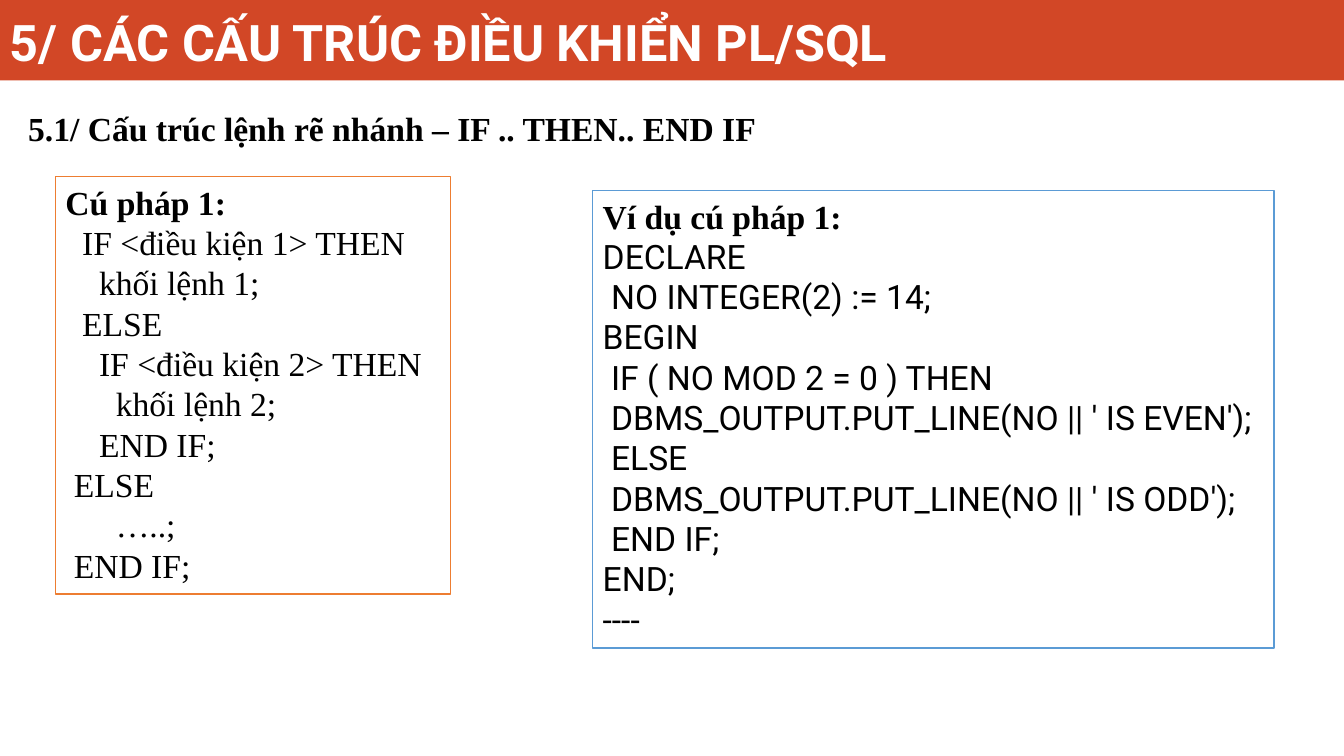
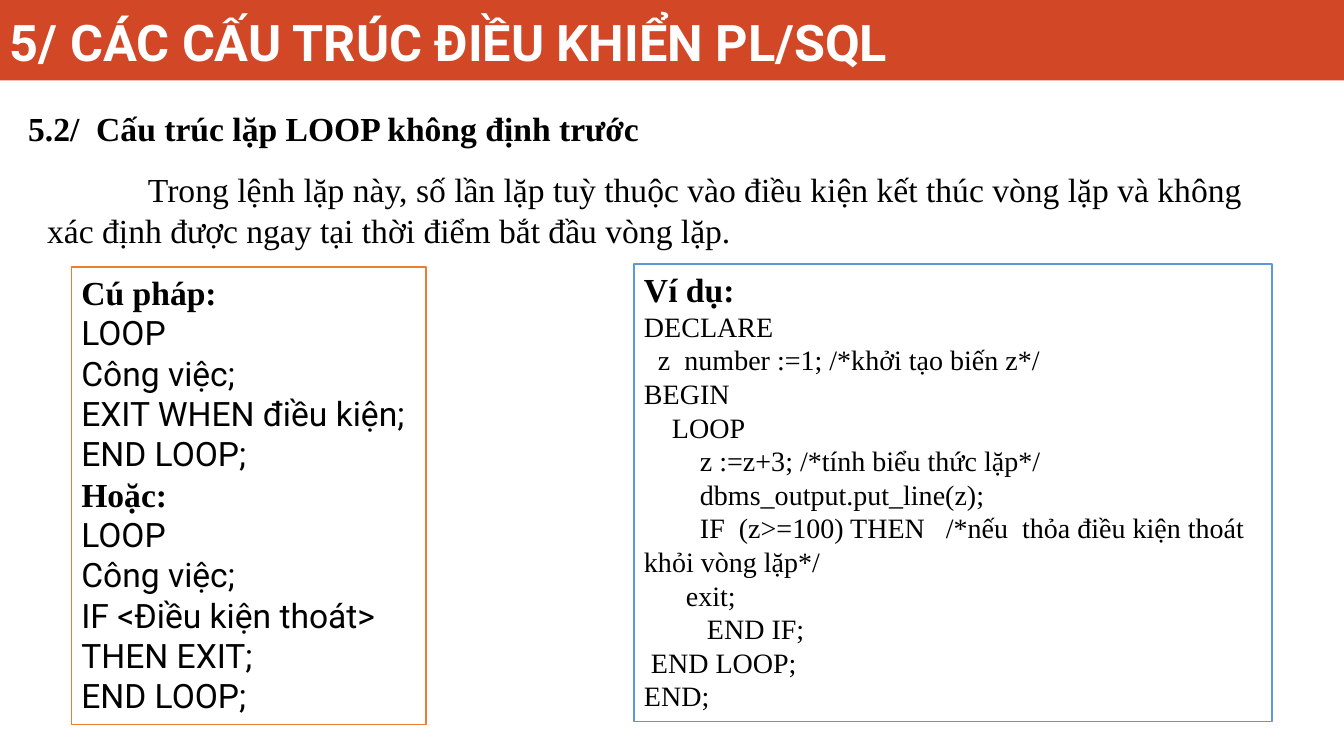
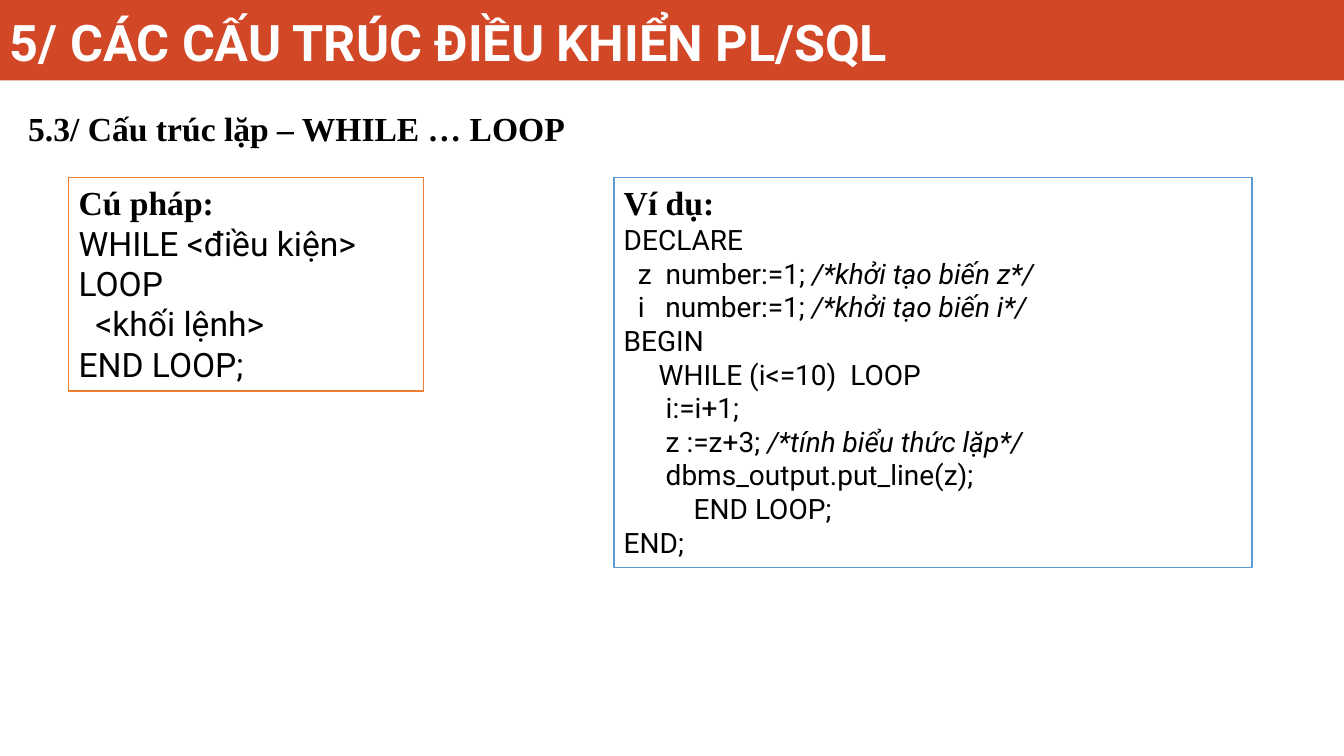
from pptx import Presentation
from pptx.dml.color import RGBColor
from pptx.enum.shapes import MSO_SHAPE as SHAPE
from pptx.enum.text import MSO_ANCHOR as ANCHOR, MSO_AUTO_SIZE as FIT, PP_ALIGN as ALIGN
from pptx.util import Cm, Pt

SANS, SERIF = "Roboto", "Times New Roman"
BAND, ORANGE, BLUE = "D24726", "ED7D31", "5B9BD5"
BLACK, WHITE = "000000", "FFFFFF"
TITLE = dict(name=SANS, size=Pt(36), bold=True)
HEAD = dict(name=SERIF, size=Pt(24), bold=True)
BODY = dict(name=SERIF, size=Pt(24), bold=False)
CODE = dict(name=SANS, size=Pt(24), bold=False)
SMALL_SERIF = dict(BODY, size=Pt(20))
SMALL_SANS = dict(CODE, size=Pt(20))


def rgb(value):
    """Turn a hex string into a colour."""
    return RGBColor.from_string(value)


def add_run(p, text, fmt, color=BLACK):
    """Add one formatted run to a paragraph."""
    r = p.add_run()
    r.text = text
    r.font.color.rgb = rgb(color)
    for key, value in fmt.items():
        setattr(r.font, key, value)


def add_rect(slide, box, fill, line=None):
    """Draw a flat rectangle in the box (cm)."""
    sp = slide.shapes.add_shape(SHAPE.RECTANGLE, *map(Cm, box))
    sp.shadow.inherit = False
    sp.fill.solid()
    sp.fill.fore_color.rgb = rgb(fill)
    if line:
        sp.line.color.rgb = rgb(line)
        sp.line.width = Pt(1)
    else:
        sp.line.fill.background()
    return sp


def add_text(slide, box, text, fmt, color=BLACK, wrap=True, fit=FIT.SHAPE_TO_FIT_TEXT,
             anchor=ANCHOR.TOP, first_indent=0):
    """Place a one-paragraph text box."""
    tf = slide.shapes.add_textbox(*map(Cm, box)).text_frame
    tf.word_wrap, tf.auto_size, tf.vertical_anchor = wrap, fit, anchor
    p = tf.paragraphs[0]
    if first_indent:
        p._p.get_or_add_pPr().set("indent", str(first_indent))
    add_run(p, text, fmt, color)


def add_code(p, line, fmt, italic_comments):
    """Write a line of code, its leading spaces becoming a first-line indent."""
    code = line.lstrip()
    depth = len(line) - len(code)
    if depth:
        p._p.get_or_add_pPr().set("indent", str(depth * fmt["size"] // 4))
    if italic_comments and "/*" in code:
        start = code.index("/*")
        add_run(p, code[:start], fmt)
        add_run(p, code[start:], dict(fmt, italic=True))
    else:
        add_run(p, code, fmt)


def code_box(slide, box, line, sections, fmt, italic_comments=False):
    """Frame code sections, each a bold heading followed by its lines."""
    tf = add_rect(slide, box, WHITE, line).text_frame
    tf.word_wrap, tf.auto_size, tf.vertical_anchor = True, FIT.SHAPE_TO_FIT_TEXT, ANCHOR.TOP
    rows = []
    for heading, code in sections.items():
        rows.append((heading, HEAD))
        rows += [(text, fmt) for text in code.strip("\n").split("\n")]
    for i, (text, style) in enumerate(rows):
        p = tf.add_paragraph() if i else tf.paragraphs[0]
        p.alignment = ALIGN.LEFT
        add_code(p, text, style, italic_comments)


def base_slide(prs, heading, width):
    """Add a slide with the title band and a section heading."""
    slide = prs.slides.add_slide(prs.slide_layouts[6])
    add_rect(slide, (0, 0, 33.87, 2.03), BAND)
    add_text(slide, (0, 0, 29.87, 1.93), "5/ CÁC CẤU TRÚC ĐIỀU KHIỂN PL/SQL", TITLE,
             WHITE, fit=FIT.NONE, anchor=ANCHOR.BOTTOM)
    add_text(slide, (0.46, 2.59, width, 1.27), heading, HEAD, wrap=False)
    return slide


def if_slide(prs):
    """Branching with IF."""
    slide = base_slide(prs, "5.1/ Cấu trúc lệnh rẽ nhánh – IF .. THEN.. END IF", 19.05)
    code_box(slide, (1.4, 4.45, 9.96, 10.52), ORANGE, {"Cú pháp 1:": """
  IF <điều kiện 1> THEN
    khối lệnh 1;
  ELSE
    IF <điều kiện 2> THEN
      khối lệnh 2;
    END IF;
 ELSE
      …..;
 END IF;
"""}, BODY)
    code_box(slide, (14.94, 4.8, 17.17, 11.53), BLUE, {"Ví dụ cú pháp 1:": """
DECLARE
 NO INTEGER(2) := 14;
BEGIN
 IF ( NO MOD 2 = 0 ) THEN
 DBMS_OUTPUT.PUT_LINE(NO || ' IS EVEN');
 ELSE
 DBMS_OUTPUT.PUT_LINE(NO || ' IS ODD');
 END IF;
END;
----
"""}, CODE)


def loop_slide(prs):
    """Open-ended LOOP."""
    slide = base_slide(prs, "5.2/  Cấu trúc lặp LOOP không định trước", 16.05)
    add_text(slide, (0.94, 4.14, 31.12, 2.31),
             "Trong lệnh lặp này, số lần lặp tuỳ thuộc vào điều kiện kết thúc vòng lặp "
             "và không xác định được ngay tại thời điểm bắt đầu vòng lặp.",
             BODY, first_indent=Cm(2.54))
    code_box(slide, (1.8, 6.73, 8.94, 11.53), ORANGE, {"Cú pháp:": """
LOOP
Công việc;
EXIT WHEN điều kiện;
END LOOP;
""", "Hoặc:": """
LOOP
Công việc;
IF <Điều kiện thoát> THEN EXIT;
END LOOP;
"""}, CODE)
    code_box(slide, (15.98, 6.65, 16.08, 11.53), BLUE, {"Ví dụ:": """
DECLARE
  z  number :=1; /*khởi tạo biến z*/
BEGIN
    LOOP
        z :=z+3; /*tính biểu thức lặp*/
        dbms_output.put_line(z);
        IF  (z>=100) THEN   /*nếu  thỏa điều kiện thoát khỏi vòng lặp*/
      exit;
         END IF;
 END LOOP;
END;
"""}, SMALL_SERIF)


def while_slide(prs):
    """WHILE loop."""
    slide = base_slide(prs, "5.3/ Cấu trúc lặp – WHILE … LOOP", 14.35)
    code_box(slide, (1.73, 4.47, 8.94, 5.38), ORANGE, {"Cú pháp:": """
WHILE <điều kiện> LOOP
  <khối lệnh>
END LOOP;
"""}, CODE)
    code_box(slide, (15.47, 4.47, 16.08, 9.83), BLUE, {"Ví dụ:": """
DECLARE
  z  number:=1; /*khởi tạo biến z*/
  i   number:=1; /*khởi tạo biến i*/
BEGIN
     WHILE (i<=10)  LOOP
      i:=i+1;
      z :=z+3; /*tính biểu thức lặp*/
      dbms_output.put_line(z);
          END LOOP;
END;
"""}, SMALL_SANS, italic_comments=True)


prs = Presentation()
prs.slide_width, prs.slide_height = Cm(33.87), Cm(19.05)
for build in (if_slide, loop_slide, while_slide):
    build(prs)
prs.save("out.pptx")
